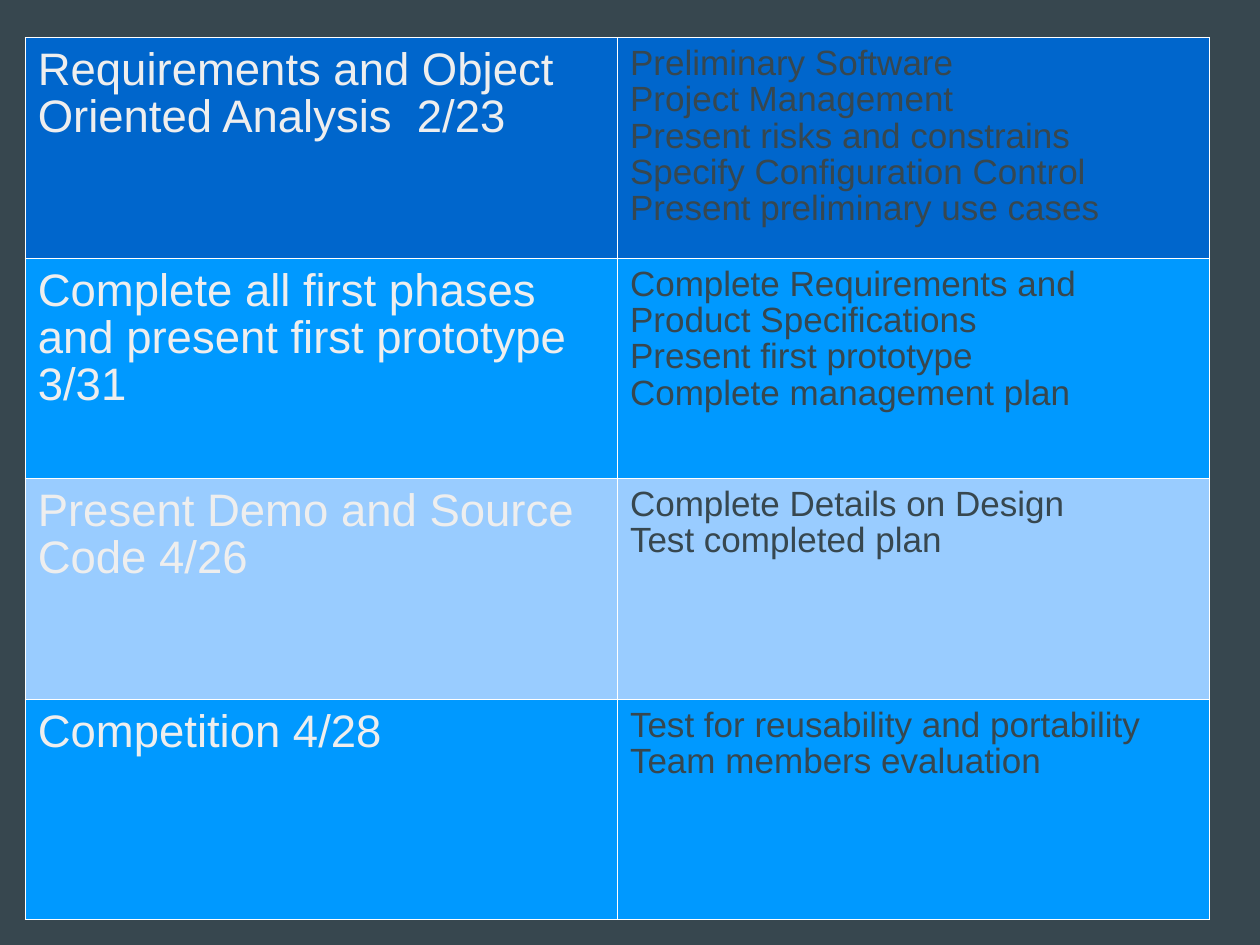
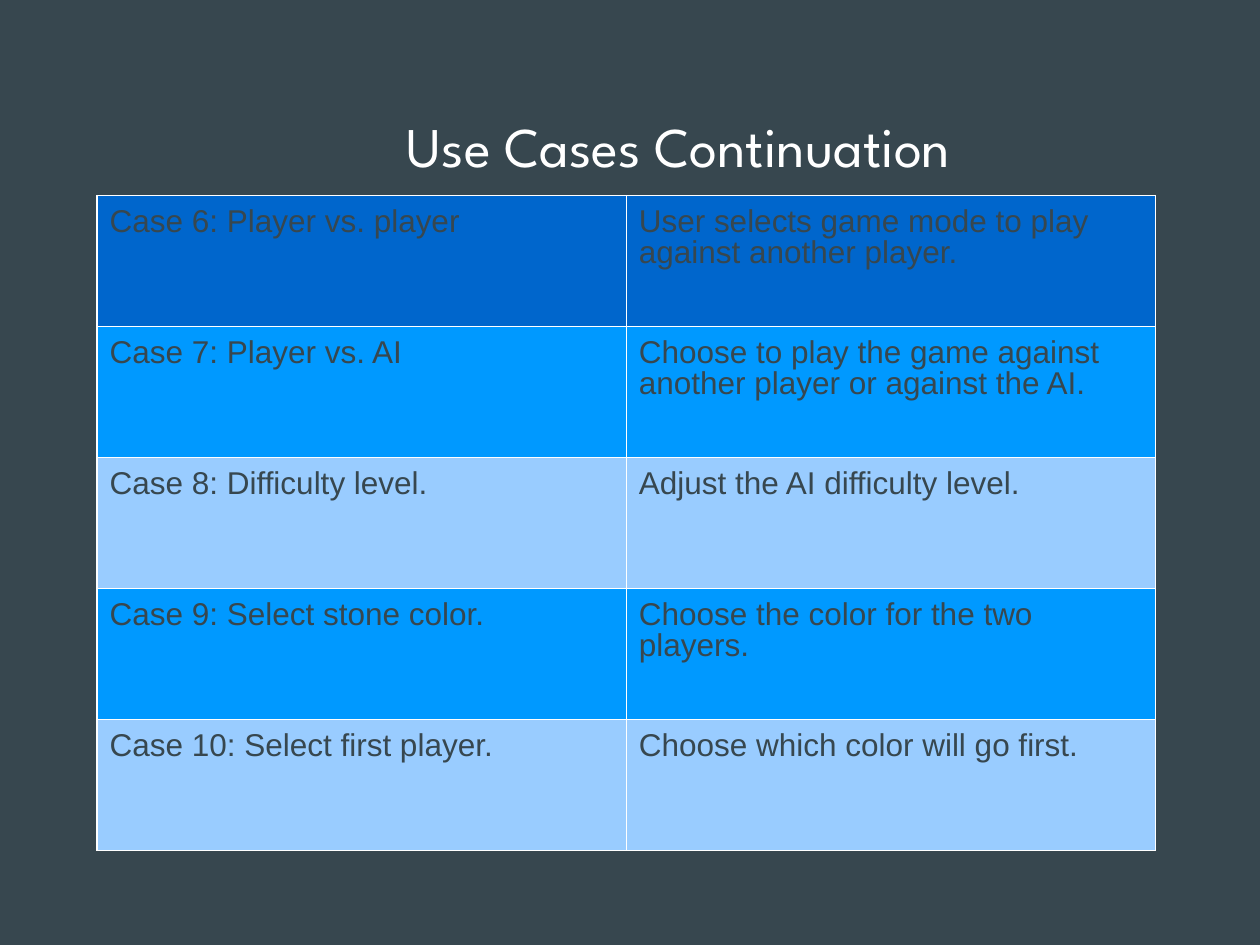
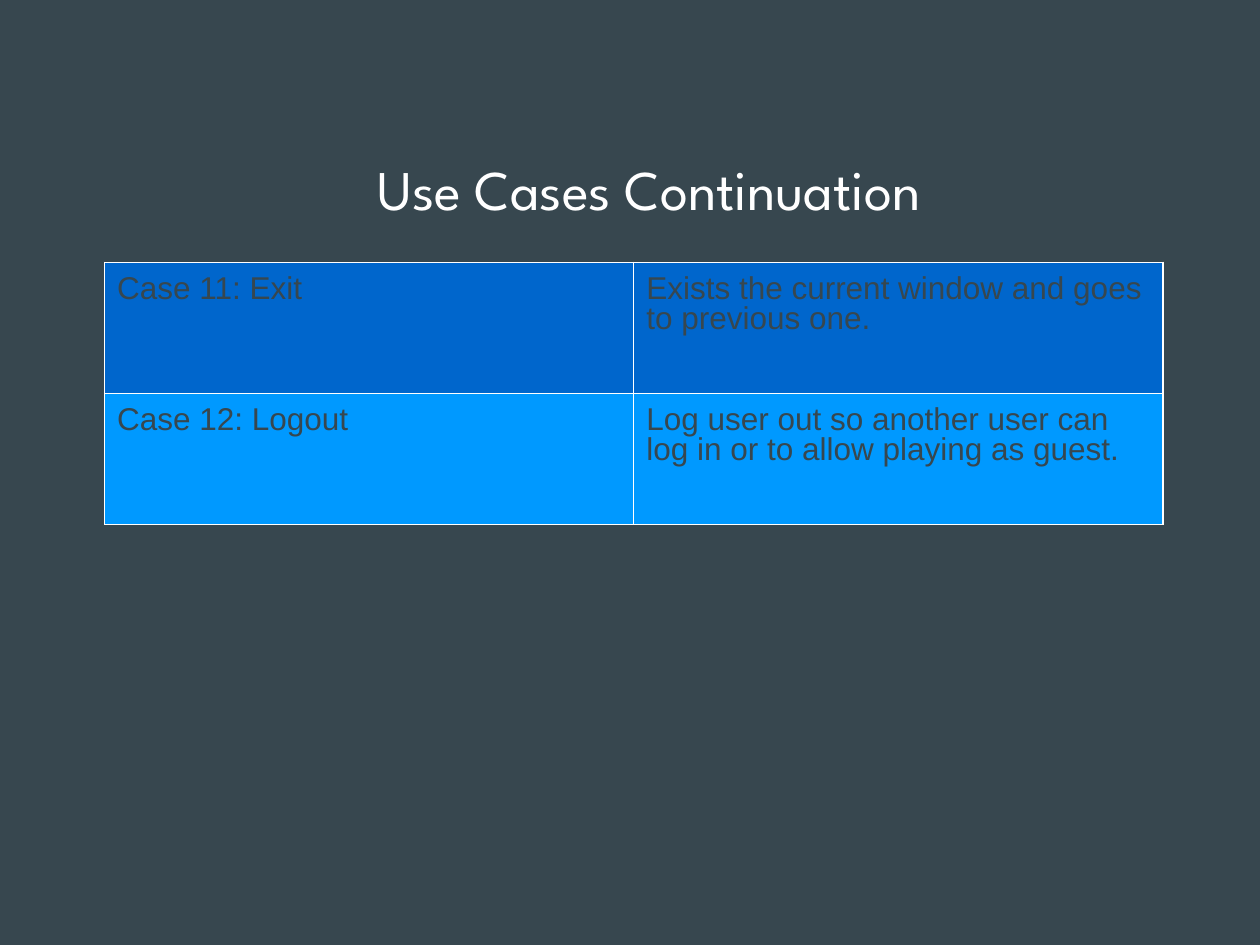
from lxml import etree
from pptx import Presentation
from pptx import util as u
from pptx.dml.color import RGBColor
from pptx.enum import text
from pptx.oxml.ns import qn

COLORS = {"slate": "37474F", "white": "FFFFFF", "pale": "EEEEEE",
          "header": "0066CC", "odd": "0099FF", "even": "99CCFF"}
MILESTONE = {"size": 26, "color": "pale", "spacing": 0.93, "top": 0.08}
TASKS = {"size": 20, "color": "slate", "spacing": 0.93, "top": 0.07}
USE_CASE = {"size": 18, "color": "slate", "spacing": 0.87, "top": 0.1}

PAGES = [
    {"table": (0.2, 0.3), "column": 4.7, "row": 1.75, "styles": (MILESTONE, TASKS), "rows": [
        ("Requirements and Object Oriented Analysis  2/23",
         "Preliminary Software\nProject Management\nPresent risks and constrains\n"
         "Specify Configuration Control\nPresent preliminary use cases"),
        ("Complete all first phases  and present first prototype 3/31",
         "Complete Requirements and Product Specifications\n"
         "Present first prototype\nComplete management plan"),
        ("Present Demo and Source Code 4/26",
         "Complete Details on Design\nTest completed plan"),
        ("Competition 4/28",
         "Test for reusability and portability\nTeam members evaluation")]},
    {"title": (1.43, 0.33), "insets": {"margin_left": 0.75, "margin_bottom": 0},
     "table": (0.77, 1.55), "column": 4.2, "row": 1.04, "styles": (USE_CASE, USE_CASE), "rows": [
        ("Case 6: Player vs. player", "User selects game mode to play against another player."),
        ("Case 7: Player vs. AI",
         "Choose to play the game against another player or against the AI."),
        ("Case 8: Difficulty level.", "Adjust the AI difficulty level."),
        ("Case 9: Select stone color.", "Choose the color for the two players."),
        ("Case 10: Select first player.", "Choose which color will go first.")]},
    {"title": (1.57, 0.79), "insets": {"margin_left": 0, "margin_bottom": 0.24},
     "table": (0.83, 2.08), "column": 4.2, "row": 1.04, "styles": (USE_CASE, USE_CASE), "rows": [
        ("Case 11: Exit", "Exists the current window and goes to previous one."),
        ("Case 12: Logout",
         "Log user out so another user can log in or to allow playing as guest.")]},
]


def write(frame, content, font, size, color, spacing):
    """Fill a text frame, one paragraph per line of content."""
    frame.text = content
    for para in frame.paragraphs:
        para.line_spacing = spacing
        for span in para.runs:
            span.font.name = font
            span.font.size = u.Pt(size)
            span.font.color.rgb = RGBColor.from_string(COLORS[color])


def add_borders(cell):
    properties = cell._tc.get_or_add_tcPr()
    for side in ("lnL", "lnR", "lnT", "lnB"):
        line = etree.SubElement(properties, qn(f"a:{side}"), w=str(u.Pt(0.75)))
        fill = etree.SubElement(line, qn("a:solidFill"))
        etree.SubElement(fill, qn("a:srgbClr"), val=COLORS["white"])


deck = Presentation()
deck.slide_width, deck.slide_height = u.Inches(10), u.Inches(7.5)

for content in PAGES:
    page = deck.slides.add_slide(deck.slide_layouts[6])
    page.background.fill.solid()
    page.background.fill.fore_color.rgb = RGBColor.from_string(COLORS["slate"])

    if "title" in content:
        left, top = content["title"]
        box = page.shapes.add_textbox(u.Inches(left), u.Inches(top),
                                      u.Inches(7.17), u.Inches(1.67))
        frame = box.text_frame
        frame.word_wrap = True
        frame.vertical_anchor = text.MSO_ANCHOR.MIDDLE
        insets = {"margin_top": 0.03, "margin_right": 0, **content["insets"]}
        for name, value in insets.items():
            setattr(frame, name, u.Inches(value))
        write(frame, "Use Cases Continuation", "League Spartan", 32, "white", 0.93)
        frame.paragraphs[0].alignment = text.PP_ALIGN.CENTER

    rows = content["rows"]
    left, top = content["table"]
    table = page.shapes.add_table(
        len(rows), 2, u.Inches(left), u.Inches(top),
        u.Inches(2 * content["column"]), u.Inches(len(rows) * content["row"])).table
    table.first_row = table.horz_banding = False
    for column in table.columns:
        column.width = u.Inches(content["column"])

    for number, entries in enumerate(rows):
        table.rows[number].height = u.Inches(content["row"])
        band = "header" if number == 0 else "odd" if number % 2 else "even"
        for index, (entry, style) in enumerate(zip(entries, content["styles"])):
            cell = table.cell(number, index)
            cell.margin_top = u.Inches(style["top"])
            add_borders(cell)
            cell.fill.solid()
            cell.fill.fore_color.rgb = RGBColor.from_string(COLORS[band])
            write(cell.text_frame, entry, "Arial",
                  style["size"], style["color"], style["spacing"])

deck.save("out.pptx")
